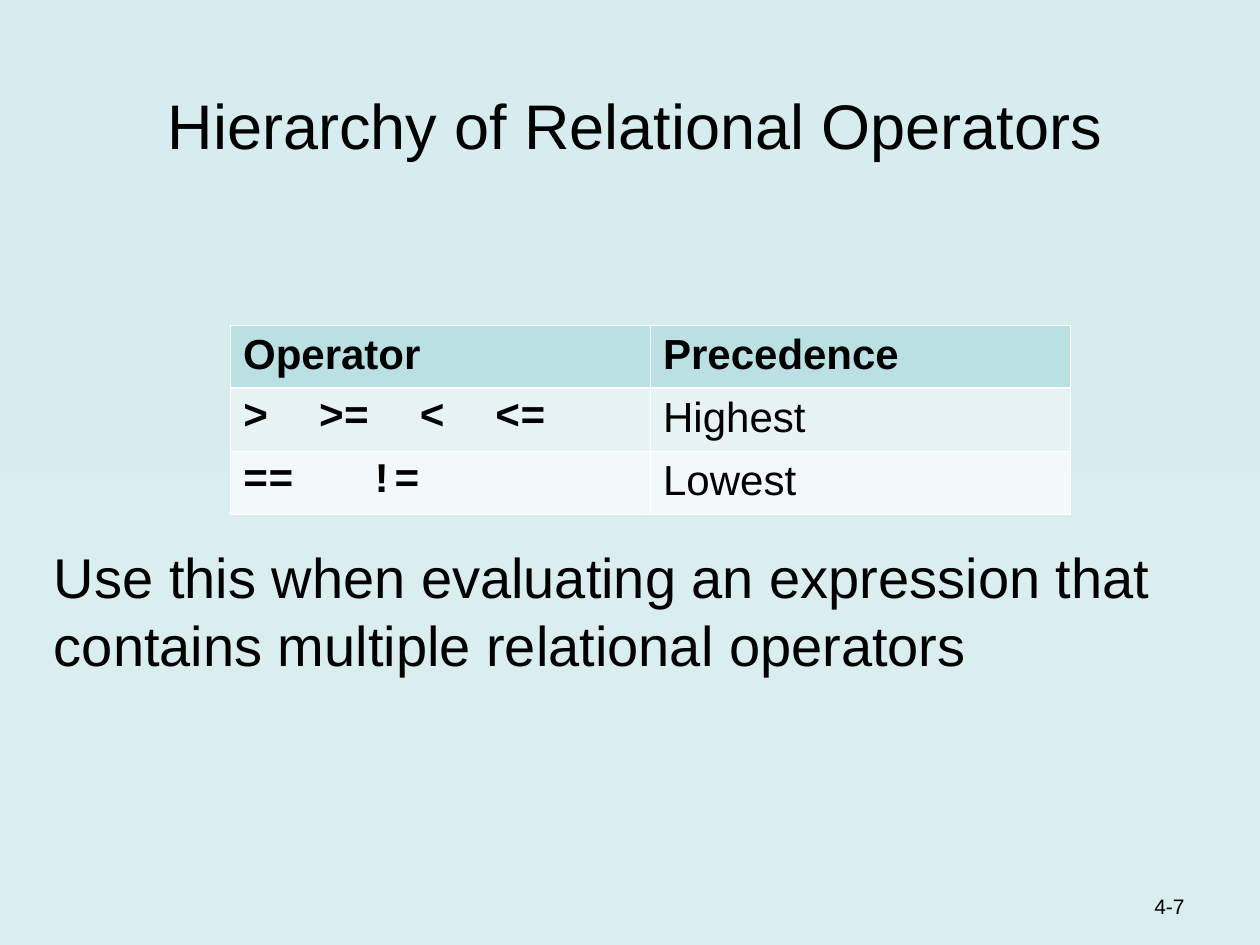
"""Build a slide with a table of relational operator precedence."""
from lxml.etree import SubElement
from pptx import Presentation
from pptx.dml.color import RGBColor
from pptx.enum.text import MSO_ANCHOR, PP_ALIGN
from pptx.oxml.ns import qn
from pptx.util import Inches, Pt

BLACK = RGBColor(0x00, 0x00, 0x00)
BG_BOTTOM = RGBColor(0xDA, 0xED, 0xEF)
BG_TOP = RGBColor(0xD6, 0xEC, 0xEE)
WHITE = RGBColor(0xFF, 0xFF, 0xFF)
ROW_FILLS = [RGBColor(0xBB, 0xE0, 0xE3), RGBColor(0xE7, 0xF3, 0xF4), RGBColor(0xF3, 0xF9, 0xFA)]
ROWS = [("Operator", "Precedence"), (">\t>=\t<\t<=", "Highest"), ("==\t!=", "Lowest")]
TABS = [[], [0.6, 1.4, 2], [1]]
HEADER_RULE, THIN_RULE = 1.47, 0.45


def write(tf, text, size, align=PP_ALIGN.LEFT, name="Arial", bold=False, tabs=()):
    p = tf.paragraphs[0]
    p.text = text
    p.alignment = align
    if tabs:
        tab_list = SubElement(p._p.get_or_add_pPr(), qn("a:tabLst"))
        for pos in tabs:
            SubElement(tab_list, qn("a:tab"), pos=str(Inches(pos)), algn="l")
    p.font.name, p.font.size, p.font.bold = name, Pt(size), bold
    p.font.color.rgb = BLACK


def add_border(cell, side, width):
    ln = SubElement(cell._tc.get_or_add_tcPr(), qn(f"a:ln{side}"), w=str(Pt(width)))
    fill = SubElement(ln, qn("a:solidFill"))
    SubElement(fill, qn("a:srgbClr"), val=str(WHITE))


prs = Presentation()
prs.slide_width, prs.slide_height = Inches(10), Inches(7.5)
W, H = prs.slide_width, prs.slide_height
s = prs.slides.add_slide(prs.slide_layouts[5])

bg = s.background.fill
bg.gradient()
bg.gradient_angle = 90
for stop, color in zip(bg.gradient_stops, (BG_BOTTOM, BG_TOP)):
    stop.color.rgb = color

title = s.shapes.title
title.left, title.top = Inches(0.33), H // 30
title.width, title.height = Inches(9.42), Inches(1.09)
title.text_frame.vertical_anchor = MSO_ANCHOR.BOTTOM
write(title.text_frame, "Hierarchy of Relational Operators", 36, PP_ALIGN.CENTER)

sp = s.shapes.add_textbox(Inches(0.33), Inches(4.26), Inches(9.07), Inches(1.63))
tf = sp.text_frame
tf.word_wrap = True
tf.margin_right = 0
write(tf, "Use this when evaluating an expression that contains multiple relational operators", 32)

sp = s.shapes.add_textbox(Inches(7.42), Inches(6.84), Inches(2.08), H // 15)
tf = sp.text_frame
tf.word_wrap = True
tf.vertical_anchor = MSO_ANCHOR.BOTTOM
write(tf, "4-7", 12, PP_ALIGN.RIGHT)

table = s.shapes.add_table(len(ROWS), 2, Inches(1.83), Inches(2.58), W * 2 // 3, H // 5).table
for i, (row, fill) in enumerate(zip(ROWS, ROW_FILLS)):
    for j, text in enumerate(row):
        cell = table.cell(i, j)
        top = HEADER_RULE if i == 1 else THIN_RULE
        bottom = HEADER_RULE if i == 0 else THIN_RULE
        for side, width in zip("LRTB", (THIN_RULE, THIN_RULE, top, bottom)):
            add_border(cell, side, width)
        cell.fill.solid()
        cell.fill.fore_color.rgb = fill
        is_code = i > 0 and j == 0
        write(cell.text_frame, text, 24, name="Courier New" if is_code else "Arial",
              bold=i == 0 or is_code, tabs=TABS[i] if is_code else ())

prs.save("out.pptx")
